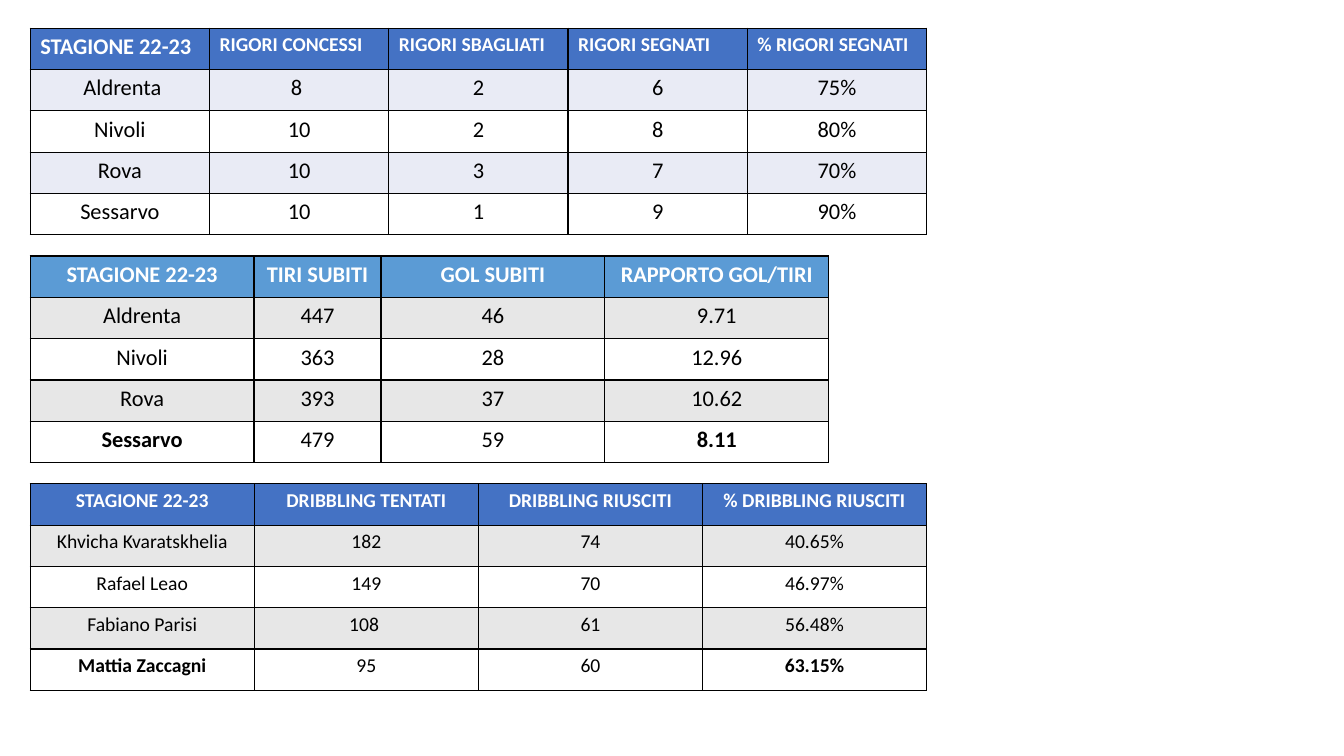
from dataclasses import dataclass

from lxml import etree
from pptx import Presentation
from pptx.dml.color import RGBColor
from pptx.enum.text import PP_ALIGN
from pptx.oxml.ns import qn
from pptx.util import Inches, Pt

LEFT, CENTER = PP_ALIGN.LEFT, PP_ALIGN.CENTER
BLACK = RGBColor(0x00, 0x00, 0x00)
WHITE = RGBColor(0xFF, 0xFF, 0xFF)
BLUE = RGBColor(0x44, 0x72, 0xC4)
SKY = RGBColor(0x5B, 0x9B, 0xD5)
PALE = RGBColor(0xE9, 0xEB, 0xF5)
GREY = RGBColor(0xE7, 0xE7, 0xE7)
FONT = "Calibri"
SEASON = "STAGIONE 22-23"
MARGIN, TOP, STEP, ROW = 0.3, 0.28, 2.26, 0.41


@dataclass
class Grid:
    heads: list[str]
    rows: list[list[str]]
    widths: list[float]
    color: RGBColor
    band: RGBColor
    sizes: list[int]
    size: int
    align: PP_ALIGN = CENTER
    mark: bool = True


GRIDS = [
    Grid(
        [SEASON, "RIGORI CONCESSI", "RIGORI SBAGLIATI", "RIGORI SEGNATI", "% RIGORI SEGNATI"],
        [
            [" Aldrenta", "8 ", "2", "6", "75%"],
            ["Nivoli", "10", "2", "8", "80%"],
            ["Rova", "10", "3", "7", "70%"],
            ["Sessarvo", "10", "1", "9", "90%"],
        ],
        [8.89 / 5] * 5, BLUE, PALE, [16] + [14] * 4, 16, align=LEFT, mark=False,
    ),
    Grid(
        [SEASON, "TIRI SUBITI", "GOL SUBITI", "RAPPORTO GOL/TIRI"],
        [
            ["Aldrenta", "447", "46", "9.71"],
            ["Nivoli", "363", "28", "12.96"],
            ["Rova", "393", "37", "10.62"],
            ["Sessarvo", "479", "59", "8.11"],
        ],
        [2.22, 1.26, 2.22, 2.22], SKY, GREY, [16] * 4, 16,
    ),
    Grid(
        [SEASON, "DRIBBLING TENTATI", "DRIBBLING RIUSCITI", "% DRIBBLING RIUSCITI"],
        [
            ["Khvicha Kvaratskhelia", "182", "74", "40.65%"],
            ["Rafael Leao", "149", "70", "46.97%"],
            ["Fabiano Parisi", "108 ", "61", "56.48%"],
            ["Mattia Zaccagni", "95", "60", "63.15%"],
        ],
        [8.89 / 4] * 4, BLUE, GREY, [14] * 4, 14,
    ),
]


def write(cell, text: str, *, size: int, color: RGBColor = BLACK,
          bold: bool = False, align: PP_ALIGN = CENTER) -> None:
    """Put formatted text in a cell."""
    par = cell.text_frame.paragraphs[0]
    par.alignment = align
    run = par.add_run()
    run.text = text
    run.font.name = FONT
    run.font.size = Pt(size)
    run.font.bold = bold
    run.font.color.rgb = color


def paint(cell, color: RGBColor) -> None:
    """Give a cell black borders and a solid fill."""
    props = cell._tc.get_or_add_tcPr()
    for side in ("L", "R", "T", "B"):
        line = etree.SubElement(props, qn(f"a:ln{side}"), w=str(Pt(1)))
        fill = etree.SubElement(line, qn("a:solidFill"))
        etree.SubElement(fill, qn("a:srgbClr"), val=str(BLACK))
    cell.fill.solid()
    cell.fill.fore_color.rgb = color


def draw(slide, grid: Grid, top: float) -> None:
    """Draw one table with its header and banded rows."""
    count, last = len(grid.rows) + 1, len(grid.heads) - 1
    table = slide.shapes.add_table(
        count, last + 1, Inches(MARGIN), Inches(top),
        Inches(sum(grid.widths)), Inches(ROW * count),
    ).table
    for row in table.rows:
        row.height = Inches(ROW)
    for col, width in enumerate(grid.widths):
        table.columns[col].width = Inches(width)
        cell = table.cell(0, col)
        paint(cell, grid.color)
        write(cell, grid.heads[col], size=grid.sizes[col], color=WHITE,
              bold=True, align=grid.align)
    for row, texts in enumerate(grid.rows, 1):
        for col, text in enumerate(texts):
            cell = table.cell(row, col)
            paint(cell, grid.band if row % 2 else WHITE)
            bold = grid.mark and row == count - 1 and col in (0, last)
            write(cell, text, size=grid.size, bold=bold)


def main() -> None:
    """Build the slide and save it."""
    deck = Presentation()
    deck.slide_width, deck.slide_height = Inches(13.33), Inches(7.5)
    slide = deck.slides.add_slide(deck.slide_layouts[6])
    for place, grid in enumerate(GRIDS):
        draw(slide, grid, TOP + place * STEP)
    deck.save("out.pptx")


main()
